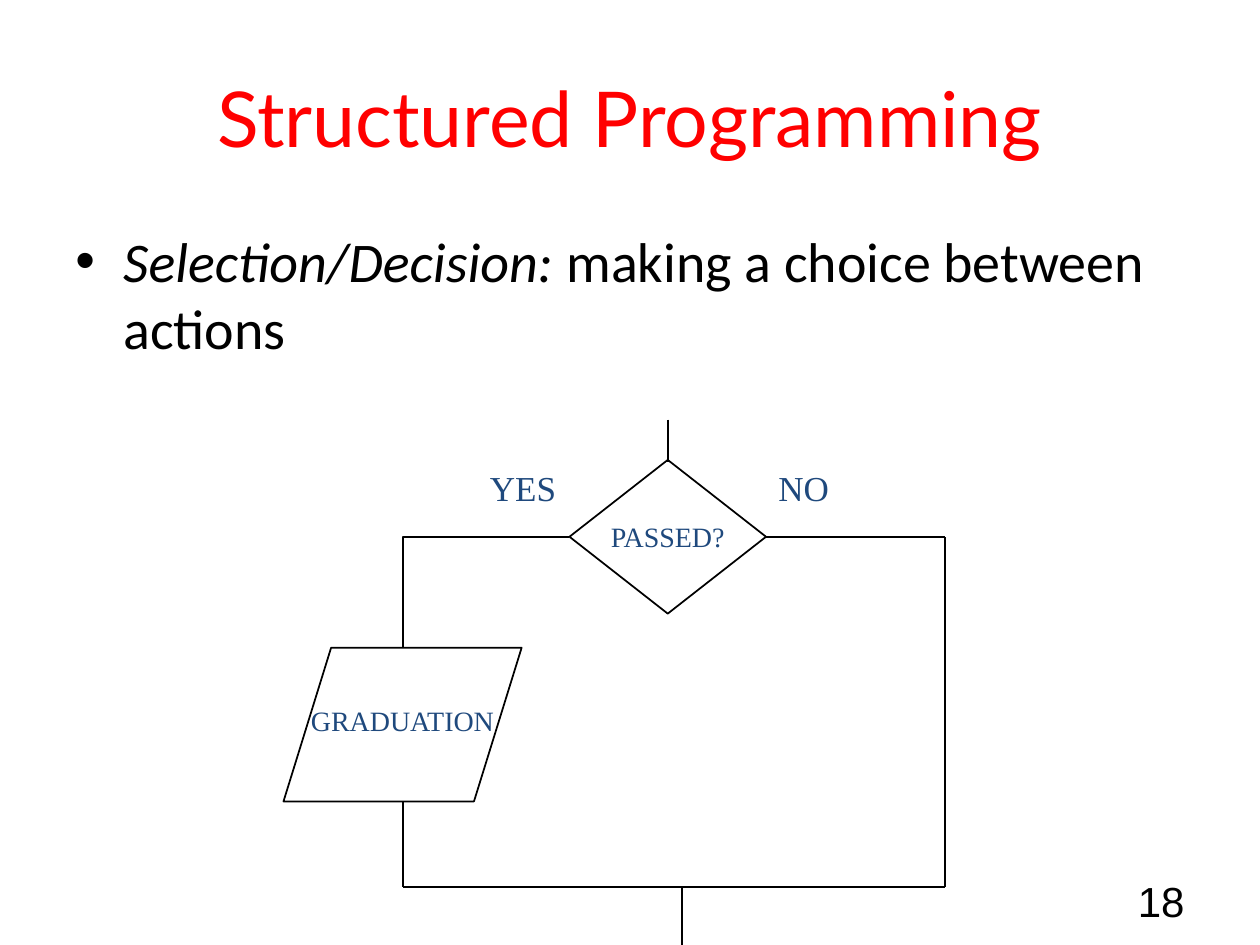
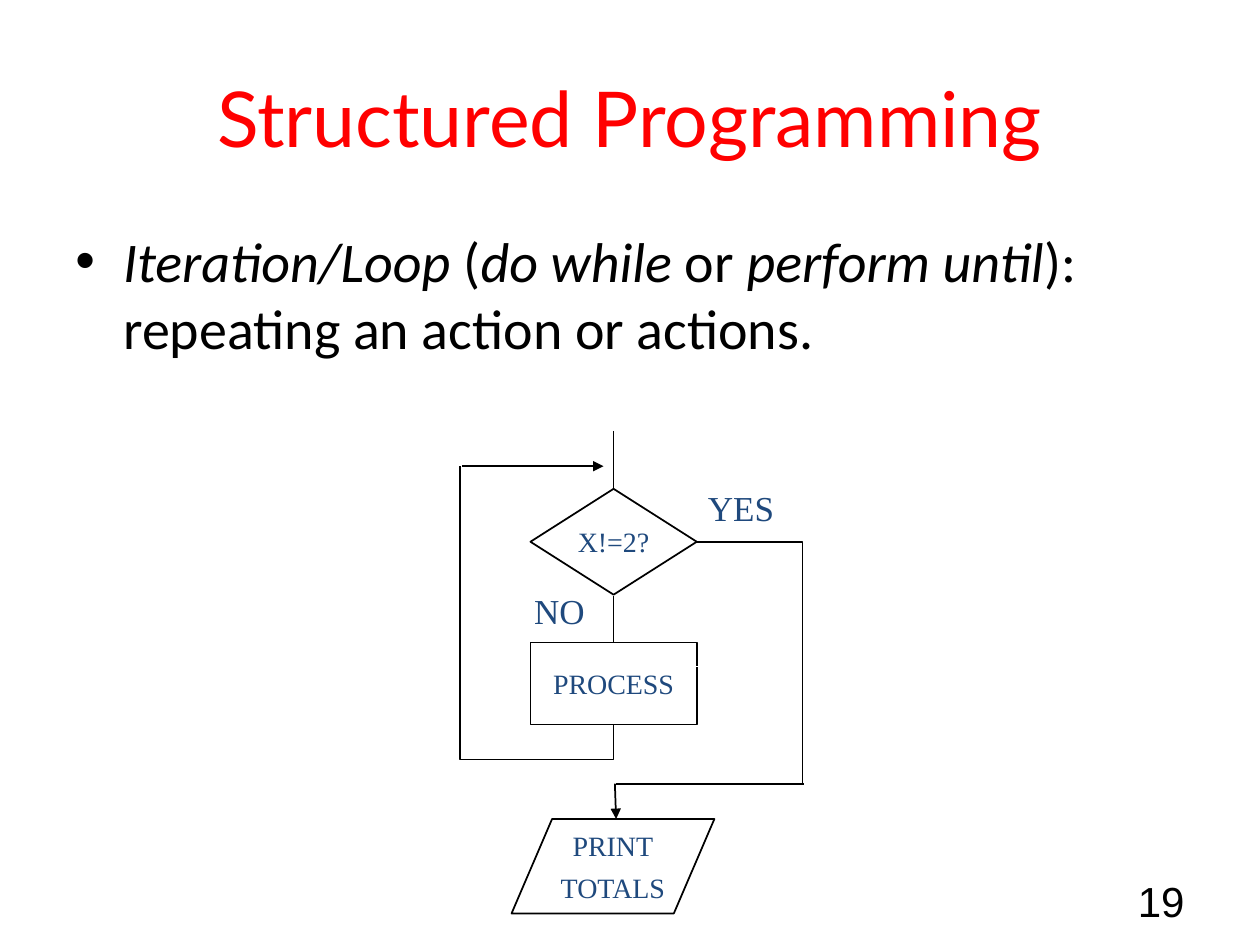
from lxml.etree import SubElement
from pptx import Presentation
from pptx.dml.color import RGBColor
from pptx.enum.shapes import MSO_CONNECTOR as Connector, MSO_SHAPE as Shape
from pptx.enum.text import MSO_ANCHOR as Anchor, MSO_AUTO_SIZE as AutoSize, PP_ALIGN as Align
from pptx.oxml.ns import qn
from pptx.util import Inches, Pt

COLUMNS, ROWS = 100, 75
CELL = Inches(0.1)
BLACK, WHITE, RED, NAVY = "000000", "FFFFFF", "FF0000", "1F497D"
TITLE_FONT, BODY_FONT, NUMBER_FONT, CHART_FONT = "Lato", "Calibri", "Arial", "Times New Roman"
TITLE_ONLY = 5


def color(hex_string):
    """Turn a hex string into a colour."""
    return RGBColor.from_string(hex_string)


def grid(*cells):
    """Turn columns and rows into lengths."""
    return [round(cell * CELL) for cell in cells]


class FlowDeck:
    """Holds the shared style and the current slide."""

    def __init__(self):
        """Start an empty presentation on the grid."""
        self.presentation = Presentation()
        self.presentation.slide_width, self.presentation.slide_height = grid(COLUMNS, ROWS)
        self.slide = None

    def start_slide(self, title, number, runs):
        """Add a slide with its title, bullet text and page number."""
        layout = self.presentation.slide_layouts[TITLE_ONLY]
        self.slide = self.presentation.slides.add_slide(layout)
        heading = self.slide.shapes.title
        heading.left, heading.top, heading.width, heading.height = grid(5, 3, 90, 12.5)
        heading.text_frame.vertical_anchor = Anchor.MIDDLE
        self.add_runs(heading.text_frame.paragraphs[0], [(title, False)], TITLE_FONT, 44, RED,
                      Align.CENTER)
        self.bullet(runs)
        frame = self.text_box(71.7, 69.5, 23.3, 4)
        frame.vertical_anchor = Anchor.MIDDLE
        self.add_runs(frame.paragraphs[0], [(str(number), False)], NUMBER_FONT, 24, BLACK,
                      Align.RIGHT)

    def add_runs(self, paragraph, runs, font, size, hex_string, align=Align.LEFT, before=0.0):
        """Fill a paragraph run by run; before is a share of the text size."""
        paragraph.alignment = align
        paragraph.space_before = Pt(size * before)
        for text, italic in runs:
            run = paragraph.add_run()
            run.text = text
            run.font.name, run.font.size = font, Pt(size)
            run.font.italic = italic
            run.font.color.rgb = color(hex_string)

    def text_box(self, left, top, width, height, wrap=True):
        """Add a text box and return its text frame."""
        frame = self.slide.shapes.add_textbox(*grid(left, top, width, height)).text_frame
        frame.word_wrap = wrap
        return frame

    def bullet(self, runs):
        """Add the bulleted statement below the title."""
        paragraph = self.text_box(5, 17.5, 90, 49.5).paragraphs[0]
        self.add_runs(paragraph, runs, BODY_FONT, 32, BLACK, before=0.2)
        properties = paragraph._p.get_or_add_pPr()
        indent = Inches(0.38)
        properties.set("marL", str(indent))
        properties.set("indent", str(-indent))
        SubElement(properties, qn("a:buFont")).set("typeface", "Arial")
        SubElement(properties, qn("a:buChar")).set("char", "•")

    def step(self, kind, left, top, width, height, *lines, spacing=None):
        """Add an outlined flowchart shape with centred text."""
        shape = self.slide.shapes.add_shape(kind, *grid(left, top, width, height))
        shape.shadow.inherit = False
        shape.fill.background()
        shape.line.color.rgb = color(BLACK)
        shape.line.width = Pt(1)
        frame = shape.text_frame
        frame.word_wrap = False
        frame.vertical_anchor = Anchor.MIDDLE
        for index, text in enumerate(lines):
            paragraph = frame.add_paragraph() if index else frame.paragraphs[0]
            self.add_runs(paragraph, [(text, False)], CHART_FONT, 16, NAVY, Align.CENTER, 0.3)
            paragraph.line_spacing = spacing

    def label(self, left, top, width, text):
        """Add the name of a branch."""
        frame = self.text_box(left, top, width, 4.3, wrap=False)
        frame.auto_size = AutoSize.SHAPE_TO_FIT_TEXT
        self.add_runs(frame.paragraphs[0], [(text, False)], CHART_FONT, 20, NAVY, before=0.3)

    def line(self, start, end, arrow=False, hex_string=BLACK, kind=Connector.STRAIGHT):
        """Connect two grid points, with an arrowhead at the end if asked."""
        connector = self.slide.shapes.add_connector(kind, *grid(*start, *end))
        connector.line.color.rgb = color(hex_string)
        connector.line.width = Pt(1)
        properties = connector._element.spPr
        if arrow:
            SubElement(properties.find(qn("a:ln")), qn("a:tailEnd")).set("type", "triangle")
        SubElement(properties, qn("a:effectLst"))
        return connector

    def corner(self, start, end):
        """Connect two points, going sideways first, with one bend."""
        connector = self.line(start, end, kind=Connector.ELBOW)
        connector._element.spPr.find(qn("a:prstGeom")).set("prst", "bentConnector2")

    def loop_back(self, start, end, overshoot):
        """Connect two points, leaving downwards by a share of their distance."""
        (x1, y1), (x2, y2) = start, end
        middle_x, middle_y = (x1 + x2) / 2, (y1 + y2) / 2
        half_width, half_height = (y1 - y2) / 2, (x1 - x2) / 2
        connector = self.line((middle_x - half_width, middle_y + half_height),
                              (middle_x + half_width, middle_y - half_height),
                              kind=Connector.ELBOW)
        properties = connector._element.spPr
        properties.find(qn("a:xfrm")).set("rot", str(270 * 60000))
        adjustments = properties.find(qn("a:prstGeom")).get_or_add_avLst()
        guide = SubElement(adjustments, qn("a:gd"))
        guide.set("name", "adj1")
        guide.set("fmla", f"val {round(-overshoot * 100000)}")


def selection_slide(deck, title, number):
    """Draw the choice between two branches."""
    deck.start_slide(title, number, [("Selection/Decision:", True),
                                     (" making a choice between actions", False)])
    left, right, middle, bottom = 32, 75, 42.6, 70.4
    deck.step(Shape.FLOWCHART_DECISION, 45.2, 36.5, 15.6, 12.2, "PASSED?")
    deck.step(Shape.FLOWCHART_DATA, 22.5, 51.4, 18.9, 12.2, "GRADUATION", spacing=0.7)
    deck.corner((45.2, middle), (left, 51.4))
    deck.label(37.9, 36.5, 7.3, "YES")
    deck.label(60.8, 36.5, 6, "NO")
    route = [(left, 63.6), (left, bottom), (right, bottom), (right, middle), (60.8, middle)]
    for start, end in zip(route, route[1:]):
        deck.line(start, end)
    deck.line((54.1, bottom), (54.1, ROWS))
    deck.line((53, 33.3), (53, 36.7))


def iteration_slide(deck, title, number):
    """Draw the loop that ends when its test is met."""
    deck.start_slide(title, number, [("Iteration/Loop", True), (" (", False),
                                     ("do while", True), (" or ", False),
                                     ("perform until", True),
                                     ("): repeating an action or actions.", False)])
    center, loop_top, exit_row = 48.7, 37, 62.2
    deck.step(Shape.FLOWCHART_PROCESS, 42.1, 51, 13.2, 6.5, "PROCESS")
    deck.step(Shape.FLOWCHART_DATA, 40.6, 65, 16.1, 7.5, "PRINT", "TOTALS")
    deck.step(Shape.FLOWCHART_DECISION, 42.1, 38.8, 13.2, 8.4, "X!=2?")
    deck.line((center, 34.2), (center, 38.8))
    deck.line((center, 47.3), (center, 51))
    deck.loop_back((center, 57.5), (36.5, loop_top), 0.136)
    deck.line((36.7, loop_top), (47.9, loop_top), arrow=True)
    deck.corner((55.3, 43), (63.7, exit_row))
    deck.line((48.8, exit_row), (48.9, 65), arrow=True)
    deck.line((63.8, exit_row), (48.9, exit_row))
    deck.label(55.2, 38.1, 7.3, "YES")
    deck.label(41.4, 46.3, 6, "NO")
    deck.line((42.4, 52.9), (55.5, 52.9), hex_string=WHITE)


def main():
    """Build both slides and save them."""
    deck = FlowDeck()
    for number, draw in enumerate((selection_slide, iteration_slide), start=18):
        draw(deck, "Structured Programming", number)
    deck.presentation.save("out.pptx")


main()
